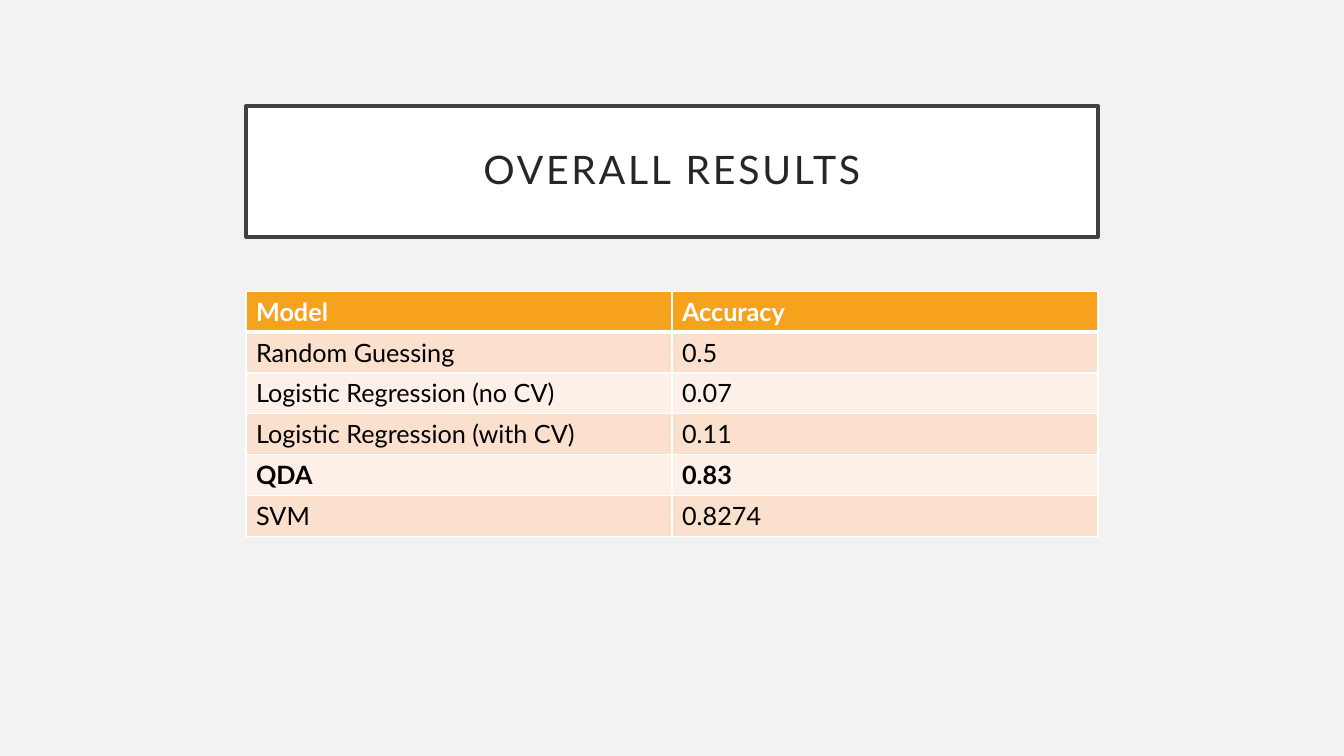
from lxml import etree
from pptx import Presentation
from pptx import util as u
from pptx.dml.color import RGBColor
from pptx.enum import shapes, text
from pptx.oxml import ns

# Content
TITLE = "OVERALL RESULTS"
RESULTS = [
    ("Model", "Accuracy"),
    ("Random Guessing", "0.5"),
    ("Logistic Regression (no CV)", "0.07"),
    ("Logistic Regression (with CV)", "0.11"),
    ("QDA", "0.83"),
    ("SVM", "0.8274"),
]
BEST_MODEL = "QDA"

# Style and layout
COLORS = {"page": "F2F2F2", "white": "FFFFFF", "frame": "404040", "title": "262626",
          "header": "F6A21D", "odd": "FBE0CD", "even": "FDF0E8", "body": "000000"}
FONT = "Lato"
WIDTH, HEIGHT = 13.33, 7.5
CONTENT_WIDTH = 8.45
LEFT = (WIDTH - CONTENT_WIDTH) / 2
TITLE_TOP, TITLE_HEIGHT = 1.05, 1.3
TABLE_TOP, TABLE_HEIGHT = 2.89, 2.43


def color(name):
    return RGBColor.from_string(COLORS[name])


def paint(fill, name):
    fill.solid()
    fill.fore_color.rgb = color(name)


def style_text(para, size, name, bold=False):
    for span in para.runs:
        span.font.name = FONT
        span.font.size = u.Pt(size)
        span.font.bold = bold
        span.font.color.rgb = color(name)


def add_borders(cell, widths):
    """Draw white cell borders; widths maps each side to points."""
    properties = cell._tc.get_or_add_tcPr()
    for side, points in widths.items():
        line = etree.SubElement(properties, ns.qn("a:ln" + side), w=str(u.Pt(points)))
        solid = etree.SubElement(line, ns.qn("a:solidFill"))
        etree.SubElement(solid, ns.qn("a:srgbClr"), val=COLORS["white"])


deck = Presentation()
deck.slide_width, deck.slide_height = u.Inches(WIDTH), u.Inches(HEIGHT)
page = deck.slides.add_slide(deck.slide_layouts[6])
paint(page.background.fill, "page")

# Framed title
box = page.shapes.add_shape(shapes.MSO_SHAPE.RECTANGLE, u.Inches(LEFT), u.Inches(TITLE_TOP),
                            u.Inches(CONTENT_WIDTH), u.Inches(TITLE_HEIGHT))
box.shadow.inherit = False
paint(box.fill, "white")
box.line.color.rgb = color("frame")
box.line.width = u.Pt(2.5)
frame = box.text_frame
frame.text = TITLE
frame.word_wrap = True
frame.vertical_anchor = text.MSO_ANCHOR.MIDDLE
frame.margin_left = frame.margin_right = u.Inches(0.2)
frame.margin_top = frame.margin_bottom = u.Inches(0.2)
para = frame.paragraphs[0]
para.alignment = text.PP_ALIGN.CENTER
para.line_spacing = 0.9
style_text(para, 28, "title")
para.runs[0].font._element.set("spc", "200")

# Results table
table = page.shapes.add_table(len(RESULTS), len(RESULTS[0]), u.Inches(LEFT), u.Inches(TABLE_TOP),
                              u.Inches(CONTENT_WIDTH), u.Inches(TABLE_HEIGHT)).table
for row, values in enumerate(RESULTS):
    is_header = row == 0
    band = "header" if is_header else "odd" if row % 2 else "even"
    widths = {"L": 1, "R": 1, "T": 3 if row == 1 else 1, "B": 3 if is_header else 1}
    for column, value in enumerate(values):
        cell = table.cell(row, column)
        cell.text = value
        style_text(cell.text_frame.paragraphs[0], 18, "white" if is_header else "body",
                   bold=is_header or values[0] == BEST_MODEL)
        add_borders(cell, widths)
        paint(cell.fill, band)

deck.save("out.pptx")
